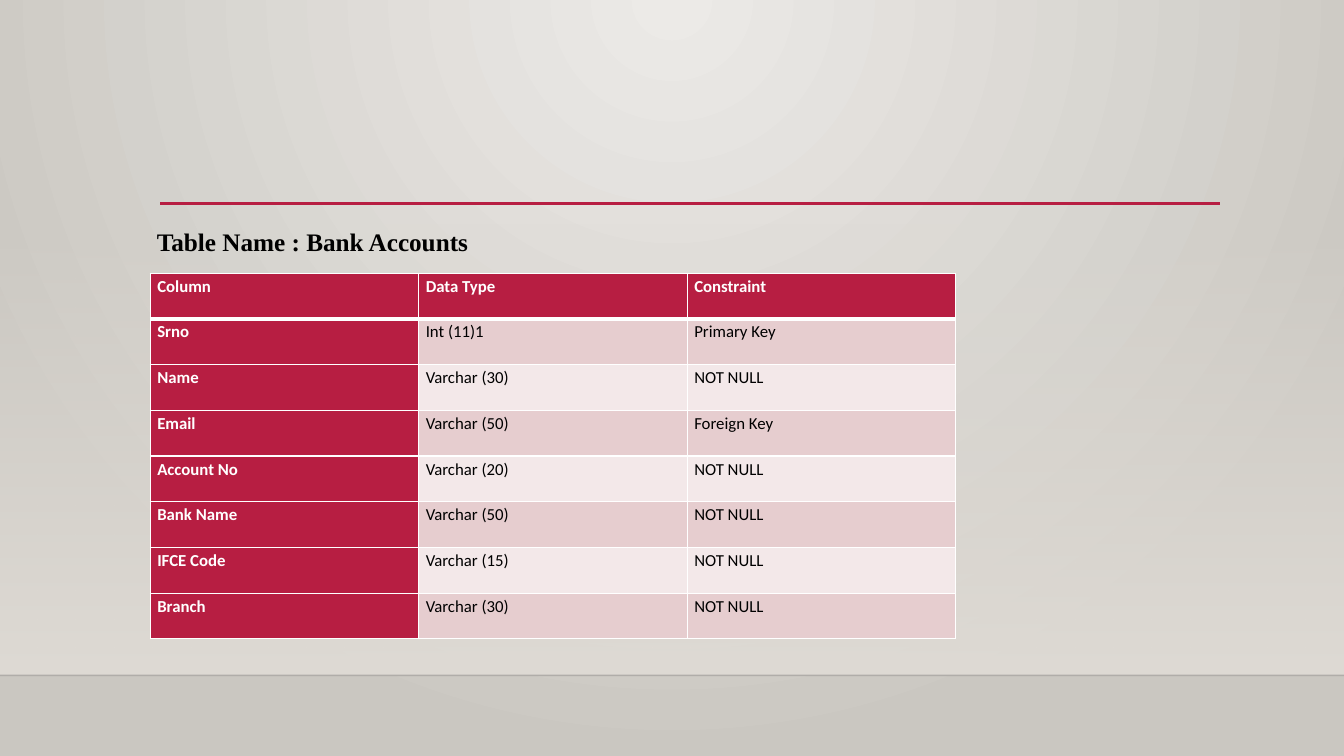
from pptx import Presentation
from pptx.dml.color import RGBColor
from pptx.enum.shapes import MSO_CONNECTOR, MSO_SHAPE
from pptx.enum.text import MSO_ANCHOR, MSO_AUTO_SIZE, PP_ALIGN
from pptx.oxml import parse_xml
from pptx.oxml.ns import nsdecls, qn
from pptx.util import Inches, Pt
from lxml.etree import SubElement

CRIMSON = RGBColor(0xB7, 0x1E, 0x42)
ROSE = RGBColor(0xE6, 0xCD, 0xCF)
BLUSH = RGBColor(0xF3, 0xE8, 0xE9)
WHITE = RGBColor(0xFF, 0xFF, 0xFF)
BLACK = RGBColor(0x00, 0x00, 0x00)
FLOOR_EDGE = RGBColor(0x00, 0x00, 0x01)
SAND = RGBColor(0xDF, 0xDB, 0xD5)
GLOW = RGBColor(0xEC, 0xEA, 0xE7)
STONE = RGBColor(0xCA, 0xC7, 0xC1)

TITLE_FONT = "Times New Roman"
TABLE_FONT = "Calibri"

COLUMNS = [
    ("Column", "Data Type", "Constraint"),
    ("Srno", "Int (11)1", "Primary Key"),
    ("Name", "Varchar (30)", "NOT NULL"),
    ("Email", "Varchar (50)", "Foreign Key"),
    ("Account No", "Varchar (20)", "NOT NULL"),
    ("Bank Name", "Varchar (50)", "NOT NULL"),
    ("IFCE Code", "Varchar (15)", "NOT NULL"),
    ("Branch", "Varchar (30)", "NOT NULL"),
]


def gradient_xml(start, end, direction, start_alpha=100):
    return (
        f'<a:gradFill {nsdecls("a")} rotWithShape="1"><a:gsLst>'
        f'<a:gs pos="0"><a:srgbClr val="{start}">'
        f'<a:alpha val="{start_alpha * 1000}"/></a:srgbClr></a:gs>'
        f'<a:gs pos="100000"><a:srgbClr val="{end}"/></a:gs>'
        f'</a:gsLst>{direction}</a:gradFill>'
    )


class SchemaSlide:
    def __init__(self, deck):
        self.slide = deck.slides.add_slide(deck.slide_layouts[5])
        self.shapes = self.slide.shapes

    def background(self, start, end):
        glow = ('<a:path path="circle"><a:fillToRect l="43000" t="0" '
                'r="43000" b="100000"/></a:path>')
        backdrop = parse_xml(
            f'<p:bg {nsdecls("p", "a")}><p:bgPr>'
            f'{gradient_xml(start, end, glow)}<a:effectLst/></p:bgPr></p:bg>'
        )
        self.slide.element.cSld.insert(0, backdrop)

    def fading_panel(self, left, top, width, height, color):
        panel = self.shapes.add_shape(
            MSO_SHAPE.RECTANGLE,
            Inches(left), Inches(top), Inches(width), Inches(height))
        panel.shadow.inherit = False
        panel.line.fill.background()
        panel.fill.background()
        properties = panel.element.spPr
        downward = '<a:lin ang="5400000" scaled="0"/>'
        properties.replace(
            properties.find(qn("a:noFill")),
            parse_xml(gradient_xml(color, color, downward, start_alpha=0)))

    def rule(self, left, right, y, color, weight, opacity=100):
        line = self.shapes.add_connector(
            MSO_CONNECTOR.STRAIGHT,
            Inches(left), Inches(y), Inches(right), Inches(y))
        line.line.color.rgb = color
        line.line.width = Pt(weight)
        properties = line.element.spPr
        if opacity < 100:
            ink = properties.find(".//" + qn("a:srgbClr"))
            SubElement(ink, qn("a:alpha"), val=str(opacity * 1000))
        SubElement(properties, qn("a:effectLst"))

    def table(self, left, top, width, height, rows):
        grid = self.shapes.add_table(
            len(rows), len(rows[0]),
            Inches(left), Inches(top), Inches(width), Inches(height)).table
        grid.horz_banding = False
        for r, row in enumerate(rows):
            for c, wording in enumerate(row):
                self.cell(grid.cell(r, c), wording, r, is_label=r == 0 or c == 0)

    def cell(self, cell, wording, row, is_label):
        cell.margin_left = cell.margin_right = Inches(0.07)
        cell.margin_top = cell.margin_bottom = 0
        cell.vertical_anchor = MSO_ANCHOR.TOP
        cell.fill.solid()
        band = ROSE if row % 2 else BLUSH
        cell.fill.fore_color.rgb = CRIMSON if is_label else band
        cell.text = wording
        paragraph = cell.text_frame.paragraphs[0]
        paragraph.line_spacing = 1.15
        paragraph.space_after = Pt(10)
        paragraph.font.name = TABLE_FONT
        paragraph.font.size = Pt(12)
        paragraph.font.bold = is_label
        paragraph.font.color.rgb = WHITE if is_label else BLACK
        # The rule under the header is shared by rows 0 and 1
        weights = {"L": 1, "R": 1, "T": 3 if row == 1 else 1,
                   "B": 3 if row == 0 else 1}
        properties = cell._tc.get_or_add_tcPr()
        for position, (side, weight) in enumerate(weights.items()):
            properties.insert(position, parse_xml(
                f'<a:ln{side} {nsdecls("a")} w="{Pt(weight)}"><a:solidFill>'
                f'<a:srgbClr val="{WHITE}"/></a:solidFill></a:ln{side}>'))

    def title(self, left, top, width, height, wording):
        title = self.shapes.title
        title.left, title.top = Inches(left), Inches(top)
        title.width, title.height = Inches(width), Inches(height)
        frame = title.text_frame
        frame.text = wording
        frame.word_wrap = False
        frame.auto_size = MSO_AUTO_SIZE.SHAPE_TO_FIT_TEXT
        frame.vertical_anchor = MSO_ANCHOR.TOP
        heading = frame.paragraphs[0]
        heading.alignment = PP_ALIGN.CENTER
        heading.font.name = TITLE_FONT
        heading.font.size = Pt(18)
        heading.font.bold = True
        heading.font.color.rgb = BLACK
        # Bring the title in front of the backdrop
        self.shapes.element.append(title.element)


def main():
    deck = Presentation()
    deck.slide_width, deck.slide_height = Inches(13.33), Inches(7.5)
    page = SchemaSlide(deck)

    # Backdrop: wall, floor edge and accent rule
    page.background(GLOW, STONE)
    page.fading_panel(0, 2.21, 13.33, 4.49, SAND)
    page.rule(0, 13.33, 6.7, FLOOR_EDGE, 1, opacity=20)
    page.rule(1.59, 12.1, 2.02, CRIMSON, 2.5)

    # Bank account schema
    page.table(1.49, 2.71, 7.99, 3.63, COLUMNS)
    page.title(1.44, 2.19, 3.32, 0.4, "Table Name : Bank Accounts")

    deck.save("out.pptx")


if __name__ == "__main__":
    main()
